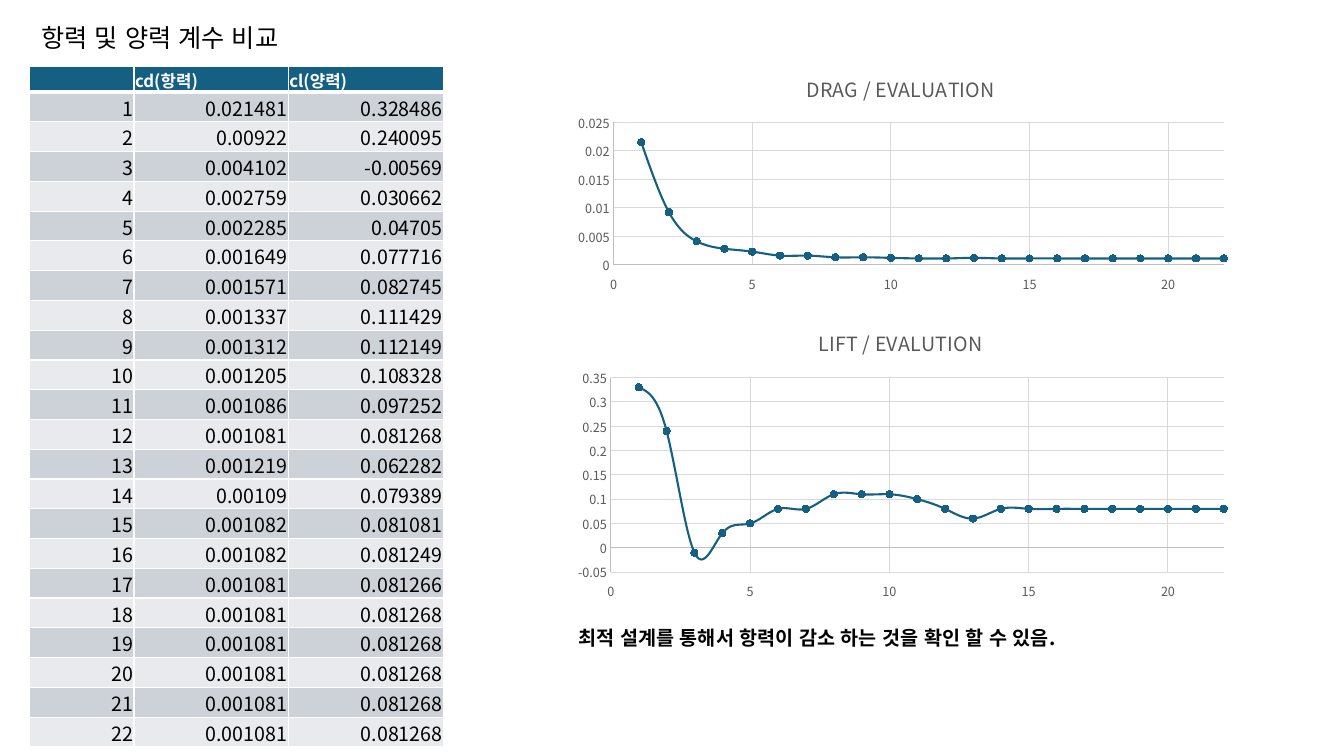
"""Build a slide comparing drag and lift coefficients in a table and two charts."""
from dataclasses import dataclass

from lxml import etree
from pptx import Presentation
from pptx.chart.data import XyChartData
from pptx.dml.color import RGBColor
from pptx.enum import chart as ce, lang, text as te
from pptx.oxml import ns
from pptx.util import Inches, Pt


@dataclass(frozen=True)
class Theme:
    font: str = "Noto Sans CJK KR"
    black: str = "000000"
    white: str = "FFFFFF"
    accent: str = "156082"
    bands: tuple = ("CCD2D8", "E8EAED")
    label: str = "595959"
    axis: str = "BFBFBF"
    grid: str = "D9D9D9"
    heading: int = 18
    body: int = 14
    header: int = 12
    chart: int = 10
    tick: int = 9


THEME = Theme()
DRAG = [0.021481, 0.00922, 0.004102, 0.002759, 0.002285, 0.001649, 0.001571,
        0.001337, 0.001312, 0.001205, 0.001086, 0.001081, 0.001219, 0.00109,
        0.001082, 0.001082] + [0.001081] * 6
LIFT = [0.328486, 0.240095, -0.00569, 0.030662, 0.04705, 0.077716, 0.082745,
        0.111429, 0.112149, 0.108328, 0.097252, 0.081268, 0.062282, 0.079389,
        0.081081, 0.081249, 0.081266] + [0.081268] * 5


def style_font(font, size, color, bold=False):
    font.name, font.size, font.bold = THEME.font, Pt(size), bold
    font.color.rgb = RGBColor.from_string(color)


def add_run(paragraph, words, size, color, bold=False):
    run = paragraph.add_run()
    run.text = words
    style_font(run.font, size, color, bold)
    latin = run.font._element.find(ns.qn("a:latin"))
    east_asian = etree.Element(ns.qn("a:ea"), typeface=THEME.font)
    latin.addnext(east_asian)
    return run


def add_sentence(paragraph, words, size, bold=False):
    run = add_run(paragraph, words, size, THEME.black, bold)
    run.font.language_id = lang.MSO_LANGUAGE_ID.KOREAN
    run.font._element.set("kern", "0")


def style_line(line, color, width):
    line.color.rgb = RGBColor.from_string(color)
    line.width = Pt(width)


def place(shape, left, top, width, height):
    shape.left, shape.top = Inches(left), Inches(top)
    shape.width, shape.height = Inches(width), Inches(height)


def add_heading(slide, words):
    heading = slide.shapes.title
    place(heading, 0, 0.17, 3.17, 0.4)
    frame = heading.text_frame
    frame.word_wrap = True
    frame.auto_size = te.MSO_AUTO_SIZE.NONE
    frame.vertical_anchor = te.MSO_ANCHOR.TOP
    paragraph = frame.paragraphs[0]
    paragraph.alignment = te.PP_ALIGN.CENTER
    paragraph.line_spacing = 1.0
    add_sentence(paragraph, words, THEME.heading)


def add_conclusion(slide, words):
    conclusion = slide.shapes.add_textbox(
        Inches(5.64), Inches(6.16), Inches(6.59), Inches(0.34))
    conclusion.text_frame.word_wrap = True
    add_sentence(conclusion.text_frame.paragraphs[0], words, THEME.body, True)


def add_borders(cell, bottom_width):
    properties = cell._tc.get_or_add_tcPr()
    for side, width in (("L", 1), ("R", 1), ("T", 1), ("B", bottom_width)):
        border = etree.SubElement(properties, ns.qn(f"a:ln{side}"), w=str(Pt(width)))
        fill = etree.SubElement(border, ns.qn("a:solidFill"))
        etree.SubElement(fill, ns.qn("a:srgbClr"), val=THEME.white)


def fill_cell(cell, words, is_header, fill):
    cell.margin_left = cell.margin_right = Inches(0.01)
    cell.margin_top = Pt(0.83)
    cell.margin_bottom = 0
    cell.vertical_anchor = te.MSO_ANCHOR.MIDDLE
    add_borders(cell, 3 if is_header else 1)
    cell.fill.solid()
    cell.fill.fore_color.rgb = RGBColor.from_string(fill)
    paragraph = cell.text_frame.paragraphs[0]
    size = THEME.header if is_header else THEME.body
    if not is_header:
        paragraph.alignment = te.PP_ALIGN.RIGHT
    if words:
        add_run(paragraph, words, size, THEME.white if is_header else THEME.black, is_header)
    else:
        etree.SubElement(paragraph._p, ns.qn("a:endParaRPr"), sz=str(size * 100))


def add_coefficients(slide, header, records):
    rows = [header] + records
    table = slide.shapes.add_table(
        len(rows), len(header), Inches(0.29), Inches(0.66), Inches(4.11), Inches(5.84)).table
    for column, width in zip(table.columns, (1.04, 1.53, 1.54)):
        column.width = Inches(width)
    for index, row in enumerate(rows):
        table.rows[index].height = Inches(0.25)
        fill = THEME.bands[(index - 1) % 2] if index else THEME.accent
        for column, value in enumerate(row):
            fill_cell(table.cell(index, column), str(value), index == 0, fill)


def style_axis(axis, label_position):
    axis.has_major_gridlines = True
    style_line(axis.major_gridlines.format.line, THEME.grid, 0.75)
    style_line(axis.format.line, THEME.axis, 0.75)
    axis.major_tick_mark = axis.minor_tick_mark = ce.XL_TICK_MARK.NONE
    axis.tick_label_position = label_position
    style_font(axis.tick_labels.font, THEME.tick, THEME.label)


def add_curve(slide, name, values, digits, top, height):
    data = XyChartData()
    points = data.add_series(name)
    for evaluation, value in enumerate(values, 1):
        points.add_data_point(evaluation, round(value, digits))
    chart = slide.shapes.add_chart(
        ce.XL_CHART_TYPE.XY_SCATTER_SMOOTH, Inches(5.6), Inches(top),
        Inches(6.67), Inches(height), data).chart
    style_font(chart.font, THEME.chart, THEME.black)
    chart.has_legend = False
    chart.has_title = True
    chart.chart_title.include_in_layout = False
    add_run(chart.chart_title.text_frame.paragraphs[0], name, THEME.body, THEME.label)
    style_axis(chart.category_axis, ce.XL_TICK_LABEL_POSITION.LOW)
    style_axis(chart.value_axis, ce.XL_TICK_LABEL_POSITION.NEXT_TO_AXIS)
    chart.category_axis.minimum_scale = 0
    chart.category_axis.maximum_scale = 22
    plot = chart.plots[0]
    plot.vary_by_categories = False
    curve = plot.series[0]
    curve._element.get_or_add_smooth().val = True
    style_line(curve.format.line, THEME.accent, 1.5)
    marker = curve.marker
    marker.style, marker.size = ce.XL_MARKER_STYLE.CIRCLE, 5
    marker.format.fill.solid()
    marker.format.fill.fore_color.rgb = RGBColor.from_string(THEME.accent)
    style_line(marker.format.line, THEME.accent, 0.75)


def main():
    deck = Presentation()
    deck.slide_width, deck.slide_height = Inches(13.33), Inches(7.5)
    slide = deck.slides.add_slide(deck.slide_layouts.get_by_name("Title Only"))
    add_heading(slide, "항력 및 양력 계수 비교")
    records = list(zip(range(1, len(DRAG) + 1), DRAG, LIFT))
    add_coefficients(slide, ("", "cd(항력)", "cl(양력)"), records)
    add_curve(slide, "DRAG / EVALUATION", DRAG, 4, 0.58, 2.37)
    add_curve(slide, "LIFT / EVALUTION", LIFT, 2, 3.09, 2.92)
    add_conclusion(slide, "최적 설계를 통해서 항력이 감소 하는 것을 확인 할 수 있음.")
    deck.save("out.pptx")


if __name__ == "__main__":
    main()
